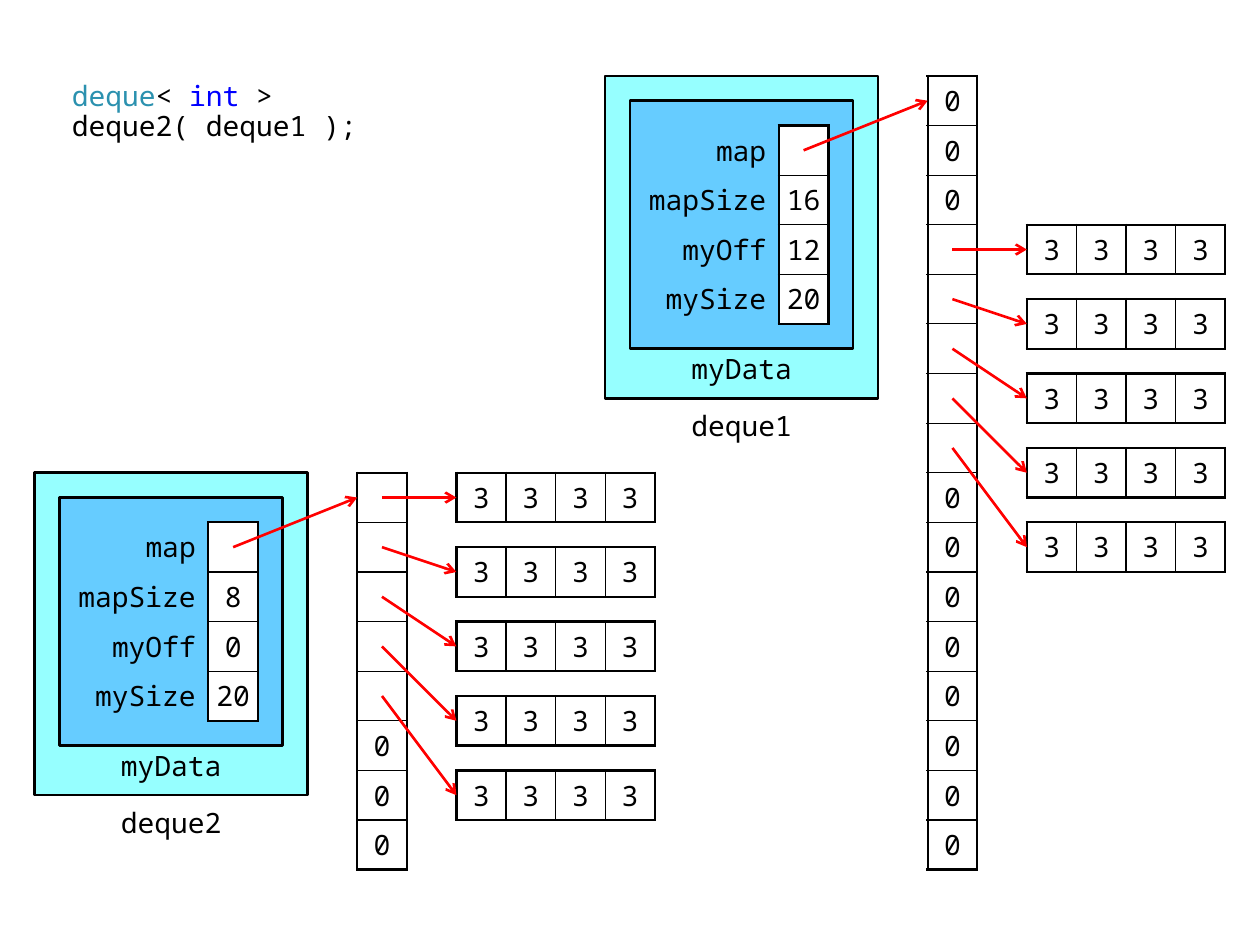
import pptx
import pptx.dml.color
import pptx.enum.shapes
import pptx.enum.text
import pptx.util
from lxml import etree
from pptx.oxml.ns import qn

COLORS = {
    "ink": "000000", "type": "2B91AF", "keyword": "0000FF", "arrow": "FF0000",
    "object": "96FFFF", "data": "66CCFF", "cell": "FFFFFF",
}
FONT = "Noto Sans Mono"
THICK, THIN = 1.5, 0.75
UNIT = pptx.util.Cm(1)  # one column or row of the grid
GRID_LEFT, GRID_TOP = 0.7, 1.53  # margins of the grid, in units
ALIGN = pptx.enum.text.PP_ALIGN
ANCHOR = pptx.enum.text.MSO_ANCHOR


def rgb(name):
    return pptx.dml.color.RGBColor.from_string(COLORS[name])


def place(origin, col, row):
    """Slide position of a grid point relative to an origin on the grid."""
    return (round((GRID_LEFT + origin[0] + col) * UNIT),
            round((GRID_TOP + origin[1] + row) * UNIT))


def size(cols, rows):
    return round(cols * UNIT), round(rows * UNIT)


def write_text(holder, *runs, align=ALIGN.CENTER, anchor=ANCHOR.MIDDLE,
               insets=(0.04, 0.04, 0.04, 0.04), spacing=None):
    """Write (text, colour) runs into a table cell or a text frame."""
    (holder.margin_left, holder.margin_top, holder.margin_right,
     holder.margin_bottom) = map(pptx.util.Inches, insets)
    holder.vertical_anchor = anchor
    frame = getattr(holder, "text_frame", holder)
    frame.word_wrap = True
    paragraph = frame.paragraphs[0]
    paragraph.alignment = align
    if spacing:
        paragraph.line_spacing = spacing
    for text, color in runs:
        run = paragraph.add_run()
        run.text = text
        run.font.size = pptx.util.Pt(16)
        run.font.name = FONT
        run.font.color.rgb = rgb(color)


def add_label(slide, origin, box, *runs, **text_format):
    label = slide.shapes.add_textbox(*place(origin, *box[:2]), *size(*box[2:]))
    write_text(label.text_frame, *runs, **text_format)


def add_panel(slide, origin, box, color):
    panel = slide.shapes.add_shape(
        pptx.enum.shapes.MSO_SHAPE.FLOWCHART_PROCESS,
        *place(origin, *box[:2]), *size(*box[2:]))
    panel.shadow.inherit = False
    panel.fill.solid()
    panel.fill.fore_color.rgb = rgb(color)
    panel.line.color.rgb = rgb("ink")
    panel.line.width = pptx.util.Pt(THICK)


def add_arrow(slide, origin, start, end):
    arrow = slide.shapes.add_connector(
        pptx.enum.shapes.MSO_CONNECTOR.STRAIGHT,
        *place(origin, *start), *place(origin, *end))
    arrow.line.color.rgb = rgb("arrow")
    arrow.line.width = pptx.util.Pt(THICK)
    etree.SubElement(arrow.line._get_or_add_ln(), qn("a:tailEnd"), type="arrow")
    etree.SubElement(arrow._element.spPr, qn("a:effectLst"))


def set_borders(cell, **widths):
    """Border widths by side (L, R, T, B); None draws no line."""
    properties = cell._tc.get_or_add_tcPr()
    for side, width in widths.items():
        line = etree.SubElement(properties, qn(f"a:ln{side}"))
        if width is None:
            etree.SubElement(line, qn("a:noFill"))
            continue
        line.set("w", str(pptx.util.Pt(width)))
        fill = etree.SubElement(line, qn("a:solidFill"))
        etree.SubElement(fill, qn("a:srgbClr"), val=COLORS["ink"])


def add_cells(slide, origin, corner, rows, label_width=0):
    """Unit cells in a thick frame; with label_width, column 0 holds bare labels."""
    widths = [1] * len(rows[0])
    if label_width:
        widths[0] = label_width
    first_value, last_col, last_row = bool(label_width), len(widths) - 1, len(rows) - 1
    table = slide.shapes.add_table(
        len(rows), len(widths), *place(origin, *corner),
        *size(sum(widths), len(rows))).table
    table.first_row = table.horz_banding = False
    for column, width in zip(table.columns, widths):
        column.width = round(width * UNIT)
    for r, row in enumerate(rows):
        table.rows[r].height = UNIT
        for c, text in enumerate(row):
            cell = table.cell(r, c)
            runs = [(text, "ink")] if text else []
            if c < first_value:
                write_text(cell, *runs, align=ALIGN.RIGHT, insets=(0.1, 0.04, 0.1, 0.04))
                set_borders(cell, L=None, R=THICK, T=None, B=None)
                cell.fill.background()
                continue
            write_text(cell, *runs)
            set_borders(cell,
                        L=THICK if c == first_value else THIN,
                        R=THICK if c == last_col else THIN,
                        T=THICK if r == 0 else THIN,
                        B=THICK if r == last_row else THIN)
            cell.fill.solid()
            cell.fill.fore_color.rgb = rgb("cell")


def add_deque(slide, origin, name, map_size, offset, first_slot, block_count=5):
    block_size = 4
    # Object with its data members
    add_panel(slide, origin, (0, 0, 5.5, 6.5), "object")
    add_panel(slide, origin, (0.5, 0.5, 4.5, 5), "data")
    add_label(slide, origin, (1, 6.5, 3.5, 1), (name, "ink"),
              insets=(0.08, 0.04, 0.08, 0))
    add_label(slide, origin, (1.5, 5.5, 2.5, 1), ("myData", "ink"),
              anchor=ANCHOR.TOP, insets=(0.08, 0.02, 0.08, 0))
    members = [("map", ""), ("mapSize", str(map_size)), ("myOff", str(offset)),
               ("mySize", str(block_count * block_size))]
    add_cells(slide, origin, (0.5, 1), members, label_width=3)

    # Map of block pointers
    used = range(first_slot, first_slot + block_count)
    add_cells(slide, origin, (6.5, 0),
              [("" if slot in used else "0",) for slot in range(map_size)])
    add_arrow(slide, origin, (4, 1.5), (6.5, 0.5))

    # Blocks of elements
    for index, slot in enumerate(used):
        block_row = first_slot + 1.5 * index
        add_cells(slide, origin, (8.5, block_row), [["3"] * block_size])
        add_arrow(slide, origin, (7, slot + 0.5), (8.5, block_row + 0.5))


def add_statement(slide, origin):
    add_label(slide, origin, (0.5, 0, 10.5, 1),
              ("deque", "type"), ("< ", "ink"), ("int", "keyword"),
              (" > deque2( deque1 );", "ink"),
              align=ALIGN.LEFT, anchor=ANCHOR.TOP,
              insets=(0.1, 0.05, 0.1, 0.05), spacing=0.9)


def main():
    deck = pptx.Presentation()
    deck.slide_width, deck.slide_height = pptx.util.Inches(10), pptx.util.Inches(7.5)
    slide = deck.slides.add_slide(deck.slide_layouts[6])
    add_statement(slide, (0, 0))
    add_deque(slide, (11.5, 0), "deque1", map_size=16, offset=12, first_slot=3)
    add_deque(slide, (0, 8), "deque2", map_size=8, offset=0, first_slot=0)
    deck.save("out.pptx")


if __name__ == "__main__":
    main()
